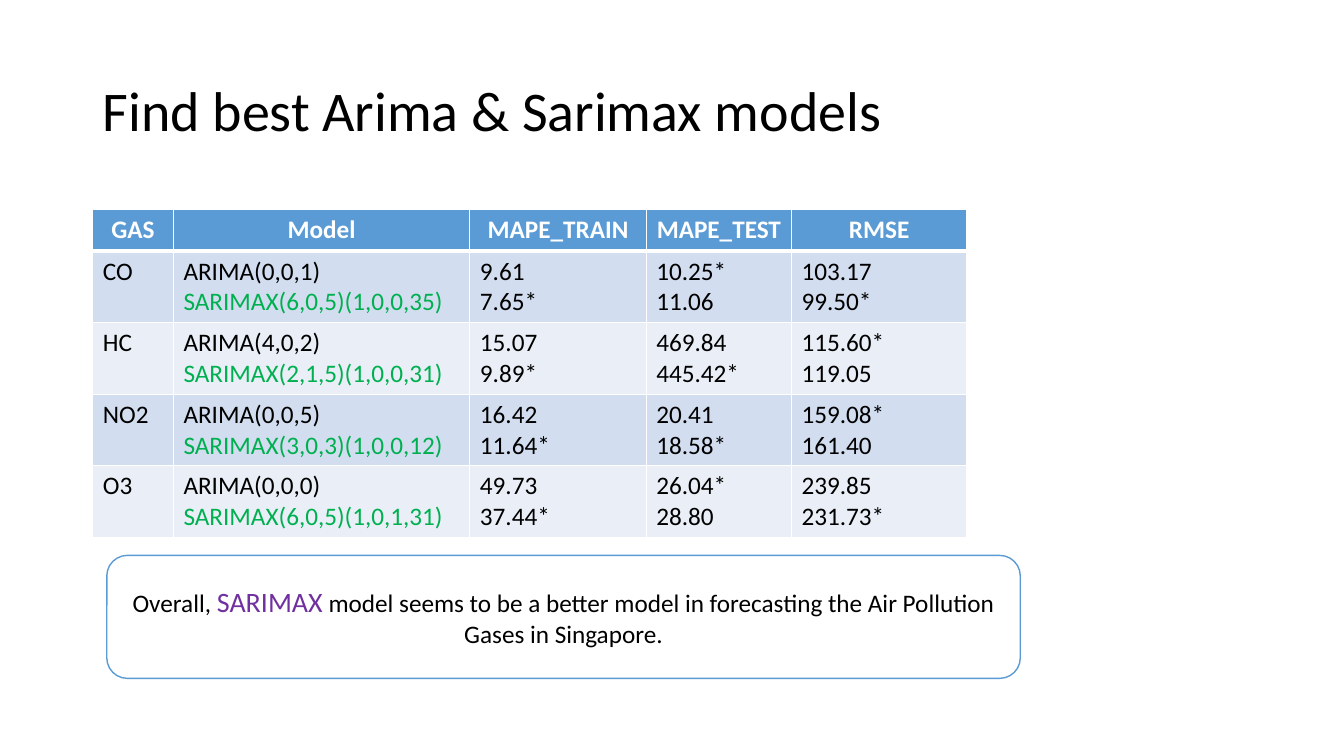
from lxml import etree
from pptx import Presentation
from pptx.dml.color import RGBColor
from pptx.enum.shapes import MSO_SHAPE
from pptx.enum.text import MSO_ANCHOR, MSO_AUTO_SIZE, PP_ALIGN
from pptx.oxml.ns import qn
from pptx.util import Inches, Pt

LEFT, CENTER = PP_ALIGN.LEFT, PP_ALIGN.CENTER
MIDDLE = MSO_ANCHOR.MIDDLE
ROUND = MSO_SHAPE.ROUNDED_RECTANGLE
FIXED = MSO_AUTO_SIZE.NONE

FONT = "Calibri"
COLORS = {
    "white": "FFFFFF",
    "black": "000000",
    "blue": "5B9BD5",
    "dark": "D2DEEF",
    "light": "EAEFF7",
    "green": "00B050",
    "purple": "7030A0",
}

HEADS = ["GAS", "Model", "MAPE_TRAIN", "MAPE_TEST", "RMSE"]
WIDTHS = [0.8, 2.94, 1.75, 1.44, 1.74]
HEAD_H = 0.41
GASES = [
    [["CO"], ["ARIMA(0,0,1)", "SARIMAX(6,0,5)(1,0,0,35)"],
     ["9.61", "7.65*"], ["10.25*", "11.06"], ["103.17", "99.50*"]],
    [["HC"], ["ARIMA(4,0,2)", "SARIMAX(2,1,5)(1,0,0,31)"],
     ["15.07", "9.89*"], ["469.84", "445.42*"], ["115.60*", "119.05"]],
    [["NO2"], ["ARIMA(0,0,5)", "SARIMAX(3,0,3)(1,0,0,12)"],
     ["16.42", "11.64*"], ["20.41", "18.58*"], ["159.08*", "161.40"]],
    [["O3"], ["ARIMA(0,0,0)", "SARIMAX(6,0,5)(1,0,1,31)"],
     ["49.73", "37.44*"], ["26.04*", "28.80"], ["239.85", "231.73*"]],
]
VERDICT = [
    ("Overall, ", 18, "black"),
    ("SARIMAX", 20, "purple"),
    (" model seems to be a better model in forecasting the Air Pollution "
     "Gases in Singapore.", 18, "black"),
]


def color(name):
    return RGBColor.from_string(COLORS[name])


def add_run(para, text, size, tint, bold=False):
    run = para.add_run()
    run.text = text
    run.font.name = FONT
    run.font.size = Pt(size)
    run.font.bold = bold
    run.font.color.rgb = color(tint)


def add_title(slide, box, text):
    title = slide.shapes.title
    title.left, title.top, title.width, title.height = map(Inches, box)
    frame = title.text_frame
    frame.auto_size = FIXED
    frame.vertical_anchor = MIDDLE
    para = frame.paragraphs[0]
    para.alignment = LEFT
    para.line_spacing = 0.9
    add_run(para, text, 40, "black")


def add_edges(cell, base):
    props = cell._tc.get_or_add_tcPr()
    for side, width in (("L", 1), ("R", 1), ("T", 1), ("B", base)):
        edge = etree.SubElement(props, qn(f"a:ln{side}"), w=str(Pt(width)))
        fill = etree.SubElement(edge, qn("a:solidFill"))
        etree.SubElement(fill, qn("a:srgbClr"), val=COLORS["white"])


def fill_cell(cell, lines, fill, tints, head=False):
    add_edges(cell, 3 if head else 1)
    cell.fill.solid()
    cell.fill.fore_color.rgb = color(fill)
    frame = cell.text_frame
    for i, (line, tint) in enumerate(zip(lines, tints)):
        para = frame.add_paragraph() if i else frame.paragraphs[0]
        para.alignment = CENTER if head else LEFT
        add_run(para, line, 18, tint, head)


def add_scores(slide, box):
    left, top, width, height = box
    count = len(GASES)
    table = slide.shapes.add_table(
        count + 1, len(HEADS), *map(Inches, box)).table
    for col, wide in zip(table.columns, WIDTHS):
        col.width = Inches(wide)
    for i, row in enumerate(table.rows):
        row.height = Inches((height - HEAD_H) / count if i else HEAD_H)
    for c, head in enumerate(HEADS):
        fill_cell(table.cell(0, c), [head], "blue", ["white"], True)
    for r, gas in enumerate(GASES, 1):
        for c, lines in enumerate(gas):
            tints = ["black", "green" if HEADS[c] == "Model" else "black"]
            fill_cell(table.cell(r, c), lines, "dark" if r % 2 else "light", tints)


def add_verdict(slide, box):
    shape = slide.shapes.add_shape(ROUND, *map(Inches, box))
    shape.shadow.inherit = False
    shape.fill.solid()
    shape.fill.fore_color.rgb = color("white")
    shape.line.color.rgb = color("blue")
    shape.line.width = Pt(1)
    frame = shape.text_frame
    frame.word_wrap = True
    frame.vertical_anchor = MIDDLE
    para = frame.paragraphs[0]
    para.alignment = CENTER
    for text, size, tint in VERDICT:
        add_run(para, text, size, tint)


def main():
    deck = Presentation()
    deck.slide_width, deck.slide_height = Inches(13.33), Inches(7.5)
    slide = deck.slides.add_slide(deck.slide_layouts[5])
    add_title(slide, (0.92, 0.4, 11.5, 1.45), "Find best Arima & Sarimax models")
    add_scores(slide, (0.92, 2.08, sum(WIDTHS), 3.21))
    add_verdict(slide, (1.06, 5.51, 9.06, 1.22))
    deck.save("out.pptx")


if __name__ == "__main__":
    main()
